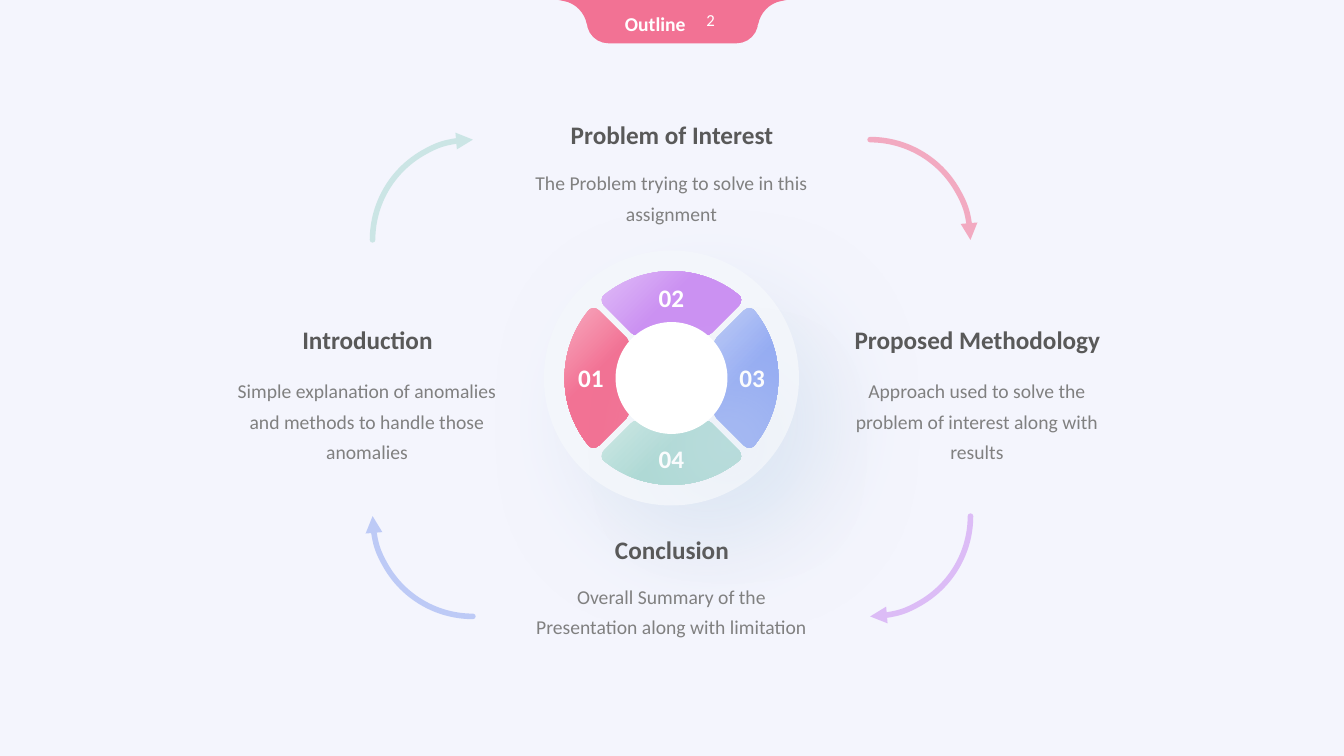
import pptx
import pptx.util
import pptx.oxml
import pptx.oxml.ns
import pptx.dml.color
import pptx.enum.shapes
import pptx.enum.text
import lxml.etree

Inches = pptx.util.Inches
Pt = pptx.util.Pt
SHAPES = pptx.enum.shapes.MSO_SHAPE
ALIGN = pptx.enum.text.PP_ALIGN
ANCHOR = pptx.enum.text.MSO_ANCHOR

COLORS = {
    "background": "F4F5FD", "pink": "F27294", "pink_light": "F7AABF",
    "purple": "CB91F2", "purple_light": "E0BDF7",
    "blue": "94ABF2", "blue_light": "BFCDF7",
    "teal": "ADD9D4", "teal_light": "CEE8E5",
    "disc": "F3F6FB", "shadow": "DDE7F4", "white": "FFFFFF",
    "heading": "595959", "body": "808080",
}
CENTER_X, CENTER_Y = 6.66, 3.75
TOPICS = [
    ("Problem of Interest", "The Problem trying to solve in this assignment", 6.66, 1.13, 0.45, 0.68),
    ("Introduction", "Simple explanation of anomalies and methods to handle those anomalies",
     3.64, 3.17, 0.47, 1.02),
    ("Proposed Methodology", "Approach used to solve the problem of interest along with results",
     9.69, 3.17, 0.47, 1.02),
    ("Conclusion", "Overall Summary of the Presentation along with limitation", 6.66, 5.25, 0.43, 0.68),
]
SEGMENTS = [("03", "blue"), ("04", "teal"), ("01", "pink"), ("02", "purple")]
ARROWS = [("pink", 1, -1), ("purple", 1, 1), ("blue", -1, 1), ("teal", -1, -1)]
SEGMENT = [
    [(0.45, 0.4)],
    [(0.72, 0.67)],
    [(0.75, 0.7), (0.81, 0.7), (0.83, 0.66)],
    [(0.98, 0.47), (1.06, 0.24), (1.06, 0)],
    [(1.06, -0.24), (0.98, -0.47), (0.83, -0.66)],
    [(0.81, -0.7), (0.75, -0.7), (0.72, -0.67)],
    [(0.45, -0.4)],
    [(0.42, -0.37), (0.42, -0.33), (0.44, -0.3)],
    [(0.56, -0.12), (0.56, 0.12), (0.44, 0.3)],
    [(0.42, 0.33), (0.42, 0.37), (0.45, 0.4)],
]
FLARE = [[(0.84, 0)], [(1.13, 0)], [(1.08, 0.01)],
         [(0.96, 0.03), (0.87, 0.13), (0.85, 0.24)], [(0.84, 0.25)]]


def rgb(name):
    """Return the named colour."""
    return pptx.dml.color.RGBColor.from_string(COLORS[name])


def drawing_element(parent, tag, **attributes):
    """Append a DrawingML element to its parent and return it."""
    return lxml.etree.SubElement(parent, pptx.oxml.ns.qn("a:" + tag), attributes)


def paint(shape, color):
    """Give a shape a plain fill with no line or shadow."""
    shape.shadow.inherit = False
    shape.fill.solid()
    shape.fill.fore_color.rgb = rgb(color)
    shape.line.fill.background()


def add_outline(slide, pieces, color):
    """Draw a closed outline whose three-point pieces are cubic curves."""
    points = [(Inches(x), Inches(y)) for piece in pieces for x, y in piece]
    builder = slide.shapes.build_freeform(*points[0])
    builder.add_line_segments(points[1:], close=True)
    shape = builder.convert_to_shape()
    lines = iter(shape._element.findall(".//" + pptx.oxml.ns.qn("a:lnTo")))
    for piece in pieces[1:]:
        segments = [next(lines) for _ in piece]
        if len(piece) == 3:
            curve = lxml.etree.Element(pptx.oxml.ns.qn("a:cubicBezTo"))
            segments[0].addprevious(curve)
            for segment in segments:
                curve.append(segment[0])
                segment.getparent().remove(segment)
    paint(shape, color)
    return shape


def add_text(slide, box, text, size, color, bold=False, align=ALIGN.CENTER, spacing=None,
             anchor=ANCHOR.TOP):
    """Place one wrapped paragraph in a box."""
    frame = slide.shapes.add_textbox(*map(Inches, box)).text_frame
    frame.word_wrap = True
    frame.vertical_anchor = anchor
    paragraph = frame.paragraphs[0]
    paragraph.text = text
    paragraph.alignment = align
    paragraph.line_spacing = spacing
    font = paragraph.font
    font.name, font.size, font.bold = "Calibri", Pt(size), bold
    font.color.rgb = rgb(color)


def add_disc(slide, diameter, color, alpha, blur, distance, angle):
    """Draw a centred disc with a soft shadow."""
    box = (CENTER_X - diameter / 2, CENTER_Y - diameter / 2, diameter, diameter)
    disc = slide.shapes.add_shape(SHAPES.OVAL, *map(Inches, box))
    paint(disc, color)
    effects = disc._element.spPr.find(pptx.oxml.ns.qn("a:effectLst"))
    shadow = drawing_element(effects, "outerShdw", blurRad=str(Pt(blur)), dist=str(Pt(distance)),
                             dir=str(angle * 60000), algn="ctr", rotWithShape="0")
    tint = drawing_element(shadow, "srgbClr", val=COLORS["shadow"])
    drawing_element(tint, "alpha", val=str(alpha * 1000))


def add_radial_fill(shape, color):
    """Fill a shape from its colour at lower right to a light tint at upper left."""
    properties = shape._element.spPr
    gradient = lxml.etree.Element(pptx.oxml.ns.qn("a:gradFill"), rotWithShape="1")
    stops = drawing_element(gradient, "gsLst")
    for position, name in ((52, color), (100, color + "_light")):
        stop = drawing_element(stops, "gs", pos=str(position * 1000))
        drawing_element(stop, "srgbClr", val=COLORS[name])
    radial = drawing_element(gradient, "path", path="circle")
    drawing_element(radial, "fillToRect", l="100000", t="100000")
    properties.replace(properties.find(pptx.oxml.ns.qn("a:solidFill")), gradient)


def add_tab(slide, left, width, height):
    """Draw the header tab with its flares."""
    tab = slide.shapes.add_shape(SHAPES.ROUND_2_SAME_RECTANGLE, Inches(left), 0,
                                 Inches(width), Inches(height))
    tab.adjustments[0], tab.adjustments[1] = 0, 0.5
    paint(tab, "pink")
    for side in (1, -1):
        flare = [[(left + width / 2 + side * x, y) for x, y in piece] for piece in FLARE]
        add_outline(slide, flare, "pink")
    add_text(slide, (left + 0.81, 0.05, 0.56, 0.3), "2", 12, "white",
             align=ALIGN.RIGHT, anchor=ANCHOR.MIDDLE)
    add_text(slide, (left + 0.28, 0, 0.87, 0.38), "Outline", 14, "white", True,
             ALIGN.JUSTIFY, 1.3)


def add_topic(slide, title, body, middle, top, gap, height):
    """Place a heading with its description below."""
    add_text(slide, (middle - 1.5, top + gap, 3, height), body, 14, "body", spacing=1.3)
    add_text(slide, (middle - 1.76, top, 3.53, 0.4), title, 18, "heading", True)


def add_wheel(slide):
    """Draw the four numbered segments, each a quarter turn from the last."""
    outline = SEGMENT
    label_x, label_y = 0.8, 0
    for number, color in SEGMENTS:
        placed = [[(CENTER_X + x, CENTER_Y + y) for x, y in piece] for piece in outline]
        add_radial_fill(add_outline(slide, placed, color), color)
        add_text(slide, (CENTER_X + label_x - 0.3, CENTER_Y + label_y - 0.2, 0.6, 0.4),
                 number, 18, "white", True)
        outline = [[(-y, x) for x, y in piece] for piece in outline]
        label_x, label_y = -label_y, label_x


def add_cycle_arrows(slide, diameter=1.99):
    """Draw the four curved arrows around the wheel."""
    for turn, (color, across, down) in enumerate(ARROWS):
        box = (CENTER_X + across * 1.97 - diameter / 2, CENTER_Y + down * 1.37 - diameter / 2,
               diameter, diameter)
        arrow = slide.shapes.add_shape(SHAPES.ARC, *map(Inches, box))
        arrow.rotation = turn * 90
        arrow.shadow.inherit = False
        arrow.fill.background()
        arrow.line.color.rgb = rgb(color)
        arrow.line.width = Pt(4)
        line = arrow.line._get_or_add_ln()
        line.set("cap", "rnd")
        tint = line.find(".//" + pptx.oxml.ns.qn("a:srgbClr"))
        drawing_element(tint, "alpha", val="56000")
        drawing_element(line, "round")
        drawing_element(line, "tailEnd", type="triangle")


def main():
    """Build the outline slide and save it."""
    presentation = pptx.Presentation()
    presentation.slide_width, presentation.slide_height = Inches(13.33), Inches(7.5)
    slide = presentation.slides.add_slide(presentation.slide_layouts[6])
    slide.background.fill.solid()
    slide.background.fill.fore_color.rgb = rgb("background")
    add_tab(slide, 5.82, 1.7, 0.43)
    add_disc(slide, 2.53, "disc", 85, 65, 40, 50)
    for topic in TOPICS:
        add_topic(slide, *topic)
    add_wheel(slide)
    add_cycle_arrows(slide)
    add_disc(slide, 1.11, "white", 40, 70, 62, 50)
    presentation.save("out.pptx")


if __name__ == "__main__":
    main()
